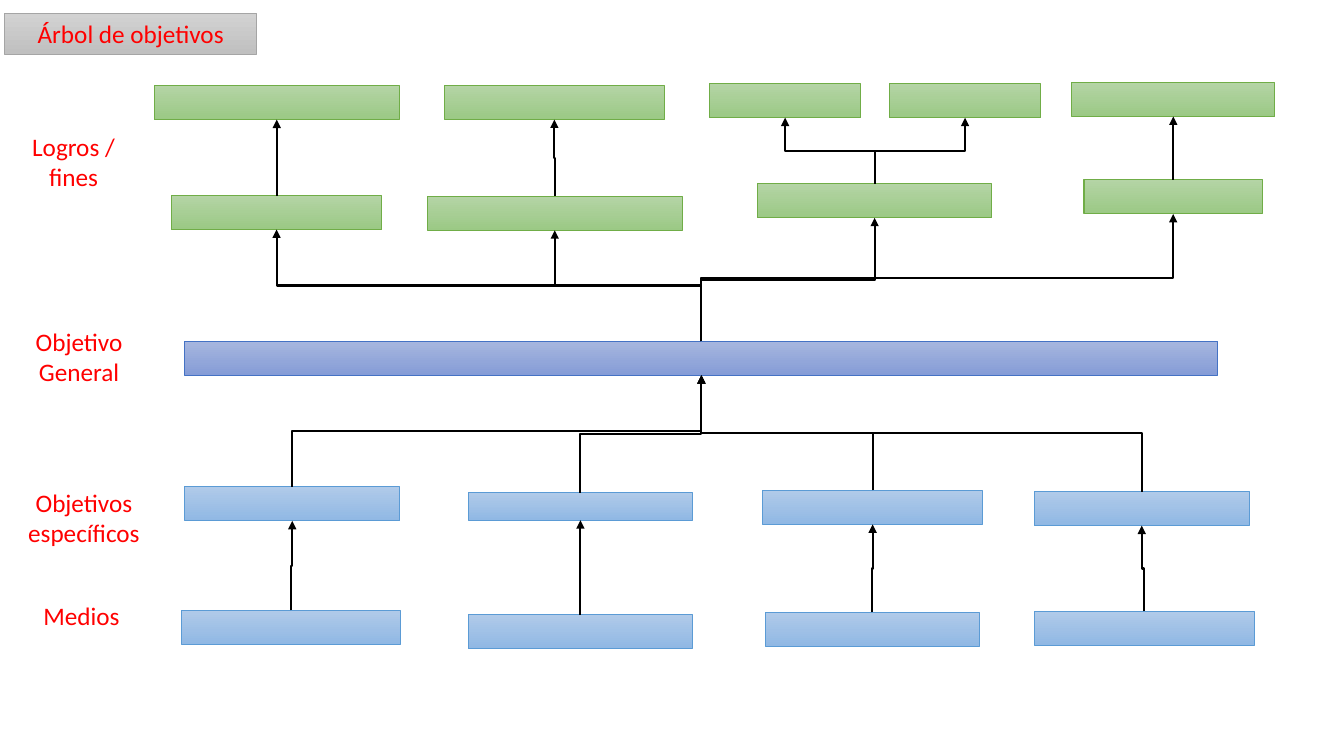
from lxml import etree
from pptx import Presentation
from pptx.dml.color import RGBColor
from pptx.enum import shapes, text
from pptx.oxml import ns
from pptx.util import Pt

RED = RGBColor(0xFF, 0x00, 0x00)
BLACK = RGBColor(0x00, 0x00, 0x00)
# Each palette: gradient top, gradient bottom, outline
GREY = RGBColor(0xD2, 0xD2, 0xD2), RGBColor(0xC0, 0xC0, 0xC0), RGBColor(0xA5, 0xA5, 0xA5)
GREEN = RGBColor(0xB4, 0xD4, 0xA5), RGBColor(0x9B, 0xC9, 0x85), RGBColor(0x70, 0xAD, 0x47)
INDIGO = RGBColor(0xA6, 0xB6, 0xDE), RGBColor(0x85, 0x9C, 0xD7), RGBColor(0x44, 0x72, 0xC4)
BLUE = RGBColor(0xB0, 0xCA, 0xE9), RGBColor(0x90, 0xB8, 0xE4), RGBColor(0x5B, 0x9B, 0xD5)

BOX_HEIGHT = 24.3
TOP_SITE, BOTTOM_SITE = 0, 2

prs = Presentation()
prs.slide_width, prs.slide_height = Pt(960), Pt(540)
slide = prs.slides.add_slide(prs.slide_layouts[5])


def paint(box, palette, line_width):
    box.fill.gradient()
    box.fill.gradient_angle = 270
    for stop, color in zip(box.fill.gradient_stops, palette):
        stop.color.rgb = color
    box.line.color.rgb = palette[2]
    box.line.width = Pt(line_width)


def write_label(label, words):
    label.text_frame.word_wrap = True
    label.text_frame.text = words
    paragraph = label.text_frame.paragraphs[0]
    paragraph.alignment = text.PP_ALIGN.CENTER
    paragraph.line_spacing = 1.0
    paragraph.font.name = "Calibri"
    paragraph.font.size = Pt(18)
    paragraph.font.color.rgb = RED


# Title
title = slide.shapes.title
title.left, title.top, title.width, title.height = Pt(3.4), Pt(9.5), Pt(180), Pt(29.1)
paint(title, GREY, 0.5)
write_label(title, "Árbol de objetivos")
title.text_frame.auto_size = text.MSO_AUTO_SIZE.NONE
title.text_frame.vertical_anchor = text.MSO_ANCHOR.MIDDLE

# Level names: words, left, top, width, height
for words, left, top, width, height in [
    ("Logros / fines", 6, 90, 93, 51),
    ("Objetivo General", 0, 229.3, 113, 51),
    ("Objetivos específicos", 3.5, 344.7, 113, 51),
    ("Medios", 1.7, 425.6, 113, 29),
]:
    label = slide.shapes.add_textbox(Pt(left), Pt(top), Pt(width), Pt(height))
    write_label(label, words)

# Boxes of each level: left, top, width and, where it differs, height
levels = {
    "fines": (GREEN, [(110.2, 61.2, 175), (317.5, 61.2, 157), (506.8, 59.8, 108),
                      (635.3, 59.8, 108), (765.6, 59, 145)]),
    "logros": (GREEN, [(122.2, 139.7, 150.7), (305.3, 140.3, 182),
                       (541, 131.3, 167.5), (774.3, 128.5, 127.5)]),
    "general": (INDIGO, [(132, 243.8, 738)]),
    "específicos": (BLUE, [(132, 347.8, 153.5), (334.6, 352, 160, 19.6),
                           (544.8, 350.3, 157), (738.8, 351.2, 153.5)]),
    "medios": (BLUE, [(129.6, 435.9, 156.2), (334.6, 439, 160),
                      (546.8, 437.4, 152.6), (738.8, 436.7, 157)]),
}
boxes = {}
for level, (palette, places) in levels.items():
    boxes[level] = []
    for left, top, width, *height in places:
        box = slide.shapes.add_shape(shapes.MSO_SHAPE.RECTANGLE, Pt(left), Pt(top),
                                     Pt(width), Pt(*height or [BOX_HEIGHT]))
        box.shadow.inherit = False
        paint(box, palette, 0.75)
        boxes[level].append(box)

# Links, each from a lower box up to a higher one
general = boxes["general"][0]
links = list(zip(boxes["medios"], boxes["específicos"]))
links += [(specific, general) for specific in boxes["específicos"]]
links += [(general, achievement) for achievement in boxes["logros"]]
links += [(boxes["logros"][i], boxes["fines"][j])
          for i, j in [(0, 0), (1, 1), (2, 2), (2, 3), (3, 4)]]

for lower, upper in links:
    start_x = lower.left + lower.width // 2
    end_x = upper.left + upper.width // 2
    end_y = upper.top + upper.height
    rise, run = lower.top - end_y, abs(end_x - start_x)
    link = slide.shapes.add_connector(shapes.MSO_CONNECTOR.ELBOW, 0, 0, 0, 0)
    link.begin_connect(lower, TOP_SITE)
    link.end_connect(upper, BOTTOM_SITE)
    # A quarter turn makes the elbow leave and arrive vertically
    link.width, link.height = rise, run
    link.left = (start_x + end_x - rise) // 2
    link.top = (lower.top + end_y - run) // 2
    properties = link._element.spPr
    frame = properties.find(ns.qn("a:xfrm"))
    frame.set("rot", "16200000")
    frame.set("flipH", "0")
    frame.set("flipV", "1" if end_x < start_x else "0")
    link.line.color.rgb = BLACK
    link.line.width = Pt(1.5)
    outline = properties.find(ns.qn("a:ln"))
    etree.SubElement(outline, ns.qn("a:tailEnd"), type="triangle")
    etree.SubElement(properties, ns.qn("a:effectLst"))

prs.save("out.pptx")
